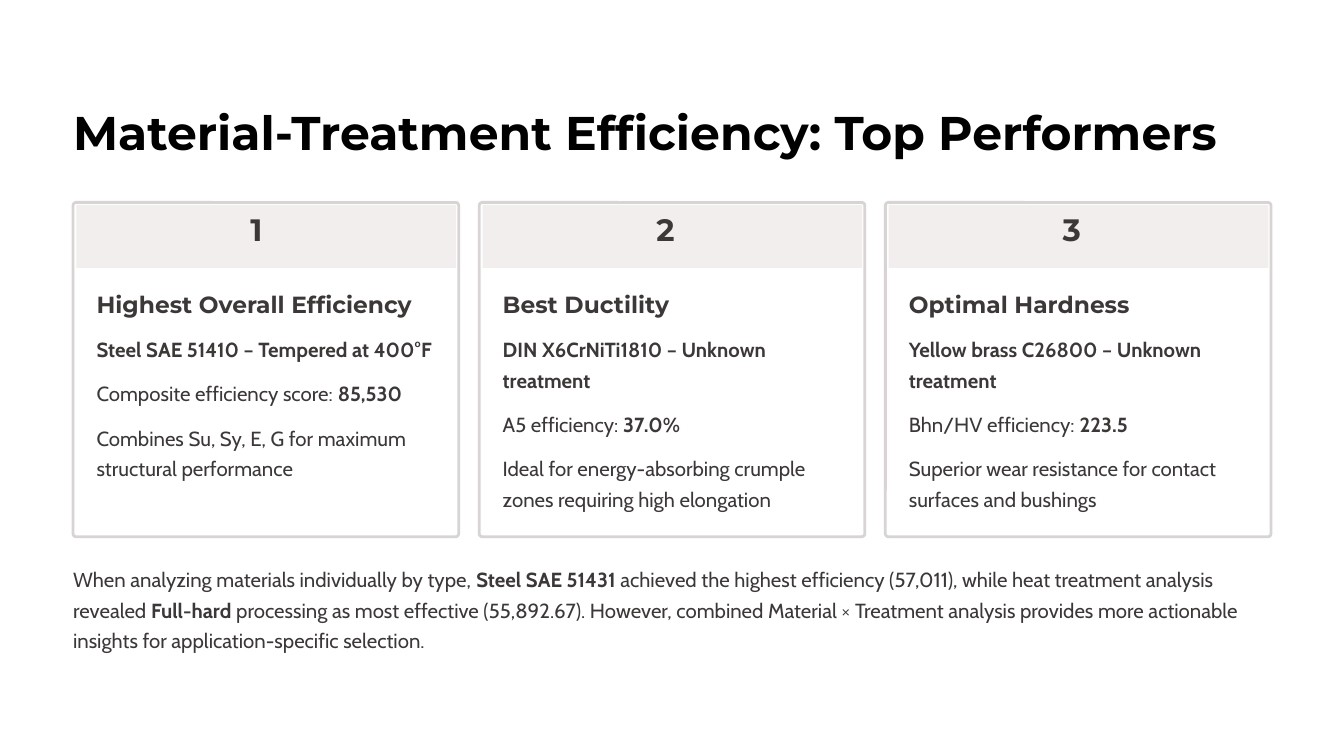
"""Build the slide on the top performing material and treatment pairs."""
from pptx import Presentation
from pptx.dml.color import RGBColor
from pptx.enum.shapes import MSO_SHAPE
from pptx.enum.text import MSO_ANCHOR, PP_ALIGN
from pptx.util import Inches, Pt

INK = "3D3838"
BODY = ("Cabin", 17.5, 26.5)
CARDS = [
    ("Highest Overall Efficiency", [
        [("Steel SAE 51410 – Tempered at 400°F", True)],
        [("Composite efficiency score: ", False), ("85,530", True)],
        [("Combines Su, Sy, E, G for maximum structural performance", False)]]),
    ("Best Ductility", [
        [("DIN X6CrNiTi1810 – Unknown treatment", True)],
        [("A5 efficiency: ", False), ("37.0%", True)],
        [("Ideal for energy-absorbing crumple zones requiring high elongation", False)]]),
    ("Optimal Hardness", [
        [("Yellow brass C26800 – Unknown treatment", True)],
        [("Bhn/HV efficiency: ", False), ("223.5", True)],
        [("Superior wear resistance for contact surfaces and bushings", False)]]),
]
SUMMARY = [
    ("When analyzing materials individually by type, ", False),
    ("Steel SAE 51431", True),
    (" achieved the highest efficiency (57,011), while heat treatment analysis revealed ", False),
    ("Full-hard", True),
    (" processing as most effective (55,892.67). However, combined Material × Treatment analysis "
     "provides more actionable insights for application-specific selection.", False),
]


def rgb(value):
    return RGBColor.from_string(value)


def write(sp, paragraphs, style, color=INK, wrap=True):
    name, size, leading = style
    tf = sp.text_frame
    tf.word_wrap = wrap
    tf.vertical_anchor = MSO_ANCHOR.TOP
    tf.margin_left = tf.margin_top = tf.margin_right = tf.margin_bottom = 0
    for i, runs in enumerate(paragraphs):
        p = tf.add_paragraph() if i else tf.paragraphs[0]
        p.alignment = PP_ALIGN.LEFT
        p.line_spacing = Pt(leading)
        p.space_before = Pt(11.3 if i else 0)
        for text, bold in runs:
            r = p.add_run()
            r.text = text
            r.font.name, r.font.size, r.font.bold = name, Pt(size), bold
            r.font.color.rgb = rgb(color)


prs = Presentation()
prs.slide_width, prs.slide_height = Inches(16), Inches(9)
s = prs.slides.add_slide(prs.slide_layouts[5])
s.background.fill.solid()
s.background.fill.fore_color.rgb = rgb("FFFFFF")

title = s.shapes.title
title.left, title.top, title.width, title.height = Inches(0.87), Inches(1.2), Inches(13.7), Inches(0.71)
write(title, [[("Material-Treatment Efficiency: Top Performers", True)]],
      ("Montserrat", 40.5, 50.5), "000000", False)

for i, (heading, body) in enumerate(CARDS):
    x = 0.87 + i * 4.835
    card = s.shapes.add_shape(MSO_SHAPE.ROUNDED_RECTANGLE, Inches(x), Inches(2.41), Inches(4.59), Inches(3.98))
    card.adjustments[0] = 0.009
    card.shadow.inherit = False
    card.fill.solid()
    card.fill.fore_color.rgb = rgb("FFFFFF")
    card.line.color.rgb = rgb("D8D4D4")
    card.line.width = Pt(2.4)

    band = s.shapes.add_shape(MSO_SHAPE.RECTANGLE, Inches(x + 0.04), Inches(2.44), Inches(4.52), Inches(0.75))
    band.shadow.inherit = False
    band.fill.solid()
    band.fill.fore_color.rgb = rgb("F2EEEE")
    band.line.fill.background()

    number = s.shapes.add_textbox(Inches(x + 2.11), Inches(2.58), Inches(0.37), Inches(0.47))
    write(number, [[(str(i + 1), True)]], ("Montserrat", 26.5, 26.5), wrap=False)
    head = s.shapes.add_textbox(Inches(x + 0.28), Inches(3.44), Inches(4.1), Inches(0.35))
    write(head, [[(heading, True)]], ("Montserrat", 20, 25), wrap=False)
    details = s.shapes.add_textbox(Inches(x + 0.28), Inches(3.94), Inches(4.1), Inches(2.17))
    write(details, body, BODY)

summary = s.shapes.add_textbox(Inches(0.87), Inches(6.67), Inches(14.26), Inches(1.12))
write(summary, [SUMMARY], BODY)

prs.save("out.pptx")
